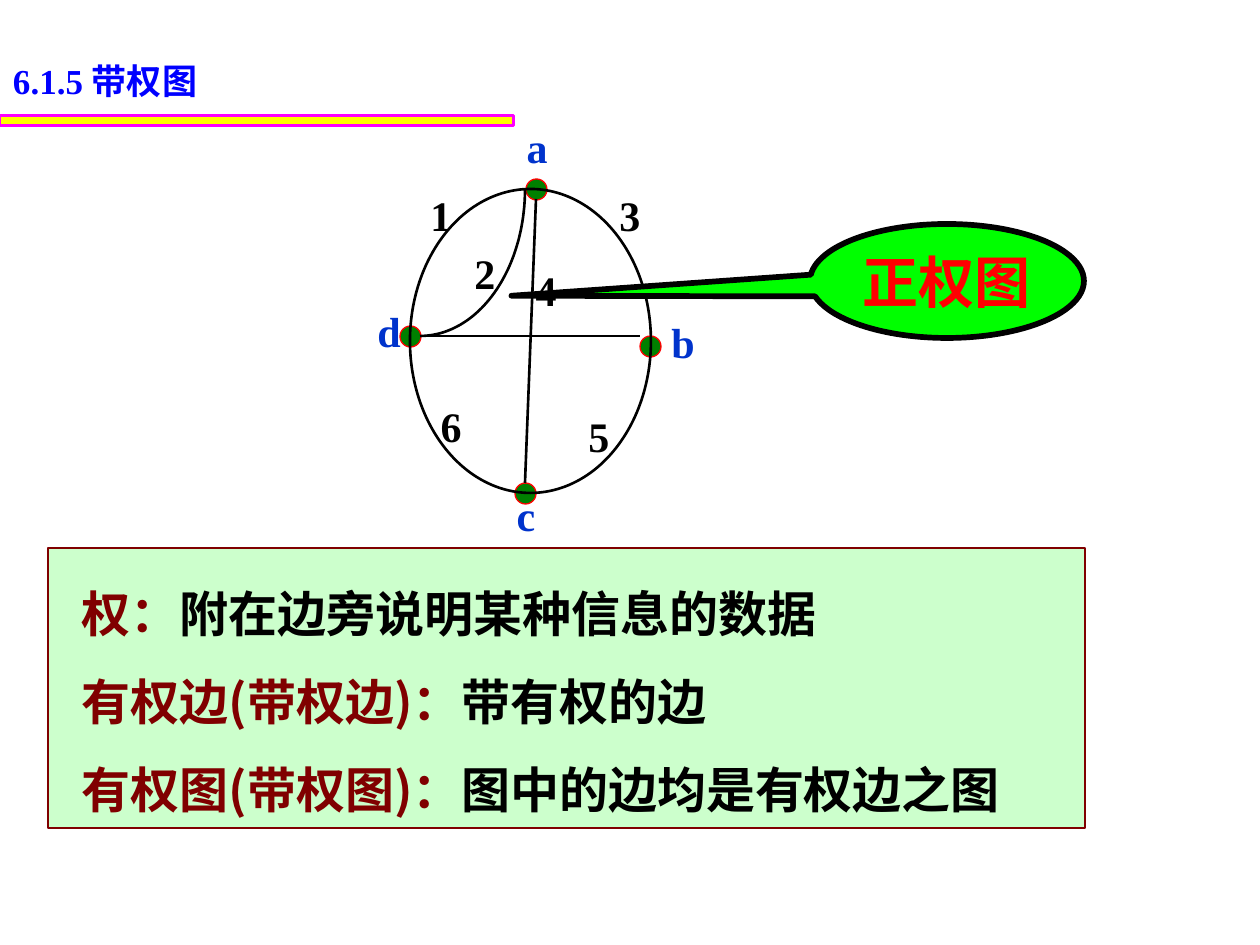
from math import cos, pi, sin
from typing import NamedTuple

from pptx import Presentation
from pptx.dml.color import RGBColor
from pptx.enum.shapes import MSO_CONNECTOR, MSO_SHAPE as Shape
from pptx.enum.text import MSO_ANCHOR as Anchor, MSO_AUTO_SIZE as AutoSize, PP_ALIGN as Align
from pptx.oxml.ns import qn
from pptx.util import Emu, Pt

PX = 914400 / 126
SERIF, SANS, CJK = "Times New Roman", "Arial", "Noto Sans CJK SC"
BLACK, RED, MAROON = "000000", "FF0000", "800000"
DOT = 21
LABEL_HEIGHT = 63


class Run(NamedTuple):
    text: str
    color: str
    font: str


class Node(NamedTuple):
    name: str
    x: int
    y: int
    label_x: int
    label_y: int


class Weight(NamedTuple):
    value: str
    x: int
    y: int


NODES = [
    Node("a", 536, 189, 537, 147),
    Node("b", 650, 346, 683, 342),
    Node("c", 525, 493, 526, 515),
    Node("d", 410, 336, 389, 331),
]
WEIGHTS = [
    Weight("1", 441, 215),
    Weight("2", 485, 273),
    Weight("3", 630, 215),
    Weight("4", 546, 290),
    Weight("5", 599, 436),
    Weight("6", 451, 426),
]
DEFINITIONS = [
    ("权：", "附在边旁说明某种信息的数据"),
    ("有权边(带权边)：", "带有权的边"),
    ("有权图(带权图)：", "图中的边均是有权边之图"),
]


def px(n: float) -> Emu:
    return Emu(round(n * PX))


def rgb(color: str) -> RGBColor:
    return RGBColor.from_string(color)


def set_text(sp, paragraphs: list[list[Run]], *, size: int, align=Align.LEFT,
             anchor=Anchor.TOP, wrap=True, spacing=None, left=13) -> None:
    tf = sp.text_frame
    tf.auto_size = AutoSize.NONE
    tf.word_wrap = wrap
    tf.vertical_anchor = anchor
    tf.margin_left, tf.margin_right = px(left), px(13)
    tf.margin_top = tf.margin_bottom = px(6)
    for i, runs in enumerate(paragraphs):
        p = tf.add_paragraph() if i else tf.paragraphs[0]
        p.alignment = align
        if spacing:
            p.line_spacing = spacing
        for run in runs:
            r = p.add_run()
            r.text = run.text
            r.font.size, r.font.bold, r.font.name = Pt(size), True, run.font
            r.font.color.rgb = rgb(run.color)
            east_asian = r.font._element.makeelement(qn("a:ea"), {"typeface": run.font})
            r.font._element.append(east_asian)


def style(sp, fill: str | None, line: str, width: float) -> None:
    sp.shadow.inherit = False
    if fill:
        sp.fill.solid()
        sp.fill.fore_color.rgb = rgb(fill)
    else:
        sp.fill.background()
    sp.line.color.rgb = rgb(line)
    sp.line.width = Pt(width)


def add_shape(s, kind, x: int, y: int, w: int, h: int, fill: str | None, line: str, width: float):
    sp = s.shapes.add_shape(kind, px(x), px(y), px(w), px(h))
    style(sp, fill, line, width)
    return sp


def add_edge(s, x1: int, y1: int, x2: int, y2: int) -> None:
    edge = s.shapes.add_connector(MSO_CONNECTOR.STRAIGHT, px(x1), px(y1), px(x2), px(y2))
    edge.line.color.rgb = rgb(BLACK)
    edge.line.width = Pt(1.5)
    props = edge._element.spPr
    props.append(props.makeelement(qn("a:effectLst"), {}))


def add_curved_edge(s, x: int, y: int, rx: int, ry: int, steps: int = 40) -> None:
    """Draw the lower right quarter of an ellipse centred at x, y."""
    angles = [pi / 2 * (1 - i / steps) for i in range(steps + 1)]
    points = [(px(x + rx * cos(t)), px(y + ry * sin(t))) for t in angles]
    builder = s.shapes.build_freeform(*points[0])
    builder.add_line_segments(points[1:], close=False)
    style(builder.convert_to_shape(), None, BLACK, 1.5)


def add_label(s, text: str, x: int, y: int, color: str) -> None:
    """Write one bold character centred at x, y."""
    width = 46
    box = s.shapes.add_textbox(px(x - width / 2), px(y - LABEL_HEIGHT / 2),
                               px(width), px(LABEL_HEIGHT))
    set_text(box, [[Run(text, color, SERIF)]], size=24, align=Align.CENTER, wrap=False)


def add_title(s) -> None:
    title = s.shapes.title
    title.left, title.top, title.width, title.height = px(0), px(53), px(546), px(54)
    set_text(title, [[Run("6.1.5 ", "0000FF", SERIF), Run("带权图", "0000FF", SANS)]], size=20)
    add_shape(s, Shape.RECTANGLE, 0, 116, 514, 10, "FFFF00", "FF00FF", 1.75)


def add_graph(s) -> None:
    for node in NODES:
        add_shape(s, Shape.OVAL, node.x - DOT // 2, node.y - DOT // 2, DOT, DOT,
                  "008000", RED, 0.75)
    add_shape(s, Shape.OVAL, 410, 189, 241, 304, None, BLACK, 1.5)
    add_curved_edge(s, 420, 189, 105, 147)
    add_edge(s, 420, 336, 640, 336)
    add_edge(s, 536, 199, 525, 483)
    for node in NODES:
        add_label(s, node.name, node.label_x, node.label_y, "0033CC")
    for weight in WEIGHTS:
        add_label(s, weight.value, weight.x, weight.y, BLACK)


def add_definitions(s) -> None:
    box = add_shape(s, Shape.RECTANGLE, 48, 548, 1037, 280, "CCFFCC", MAROON, 1.5)
    lines = [[Run(term, MAROON, CJK), Run(meaning, BLACK, CJK)] for term, meaning in DEFINITIONS]
    set_text(box, lines, size=28, spacing=1.5, left=34)


def add_callout(s) -> None:
    callout = add_shape(s, Shape.OVAL_CALLOUT, 810, 224, 274, 114, "00FF00", BLACK, 3.25)
    callout.adjustments[0], callout.adjustments[1] = -1.59, 0.13
    set_text(callout, [[Run("正权图", RED, CJK)]], size=32, align=Align.CENTER,
             anchor=Anchor.MIDDLE, wrap=False)


def main() -> None:
    prs = Presentation()
    prs.slide_width, prs.slide_height = px(1260), px(945)
    s = prs.slides.add_slide(prs.slide_layouts[5])
    add_title(s)
    add_graph(s)
    add_definitions(s)
    add_callout(s)
    prs.save("out.pptx")


if __name__ == "__main__":
    main()
